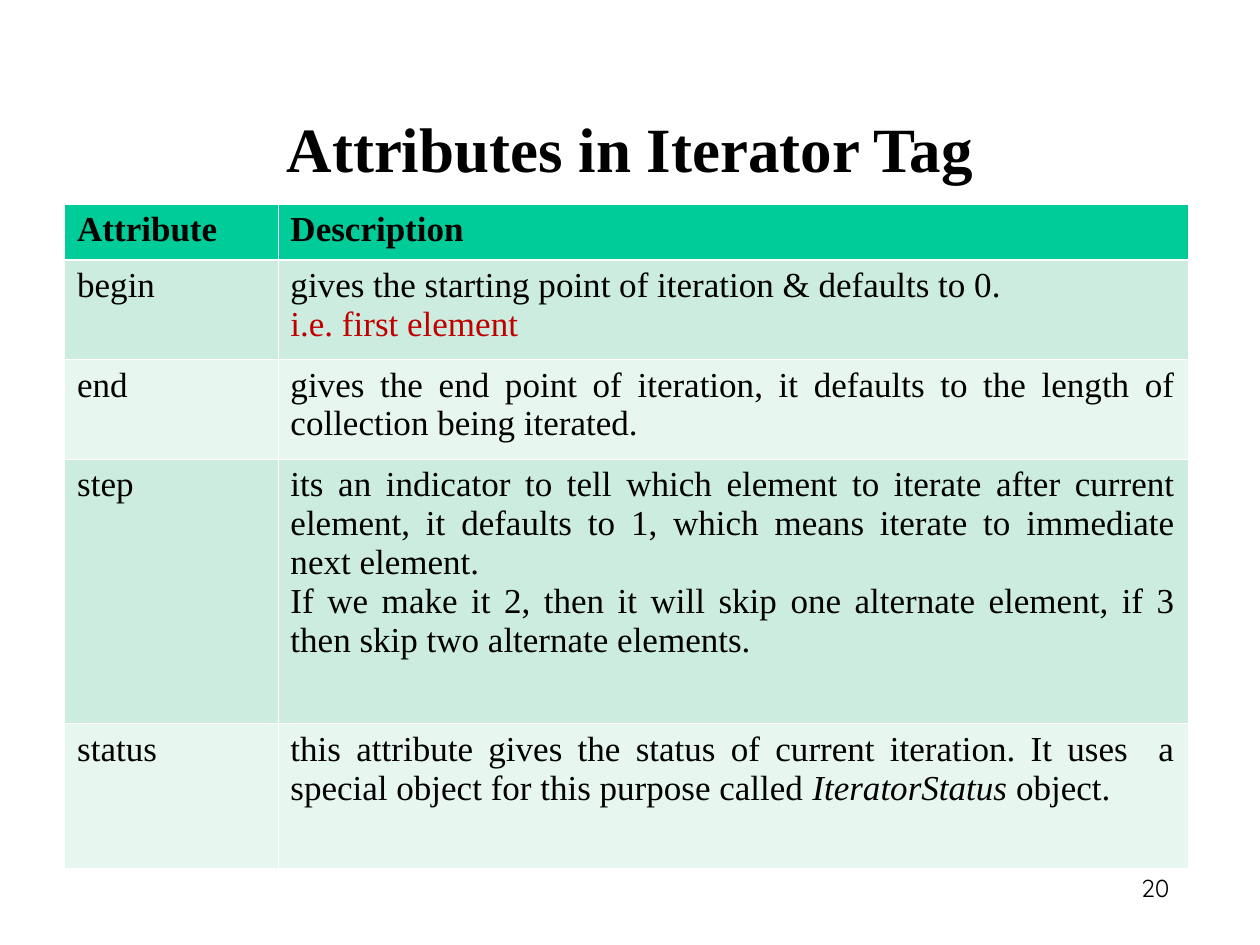
from dataclasses import dataclass

from lxml import etree
from pptx import Presentation
from pptx import util as u
from pptx.dml.color import RGBColor
from pptx.enum import text
from pptx.oxml import ns

COLORS = {
    "text": "000000",
    "accent": "C00000",
    "border": "FFFFFF",
    "header": "00CC99",
    "odd": "CBECDE",
    "even": "E7F6EF",
}
SERIF = "Times New Roman"
THIN, THICK = 0.45, 1.47


@dataclass(frozen=True)
class Span:
    text: str
    color: str = "text"
    italic: bool = False


@dataclass(frozen=True)
class Row:
    name: str
    height: float
    description: tuple[tuple[Span, ...], ...]


HEADER = Row("Attribute", 31.7, ((Span("Description"),),))
ROWS = [
    Row("begin", 57, (
        (Span("gives the starting point of iteration & defaults to 0."),),
        (Span("i.e. first element", color="accent"),),
    )),
    Row("end", 57, (
        (Span("gives the end point of iteration, it defaults to the length of "
              "collection being iterated."),),
    )),
    Row("step", 151.2, (
        (Span("its an indicator to tell which element to iterate after current element, "
              "it defaults to 1, which means iterate to immediate next element. "),),
        (Span("If we make it 2, then it will skip one alternate element, "
              "if 3 then skip two alternate elements."),),
    )),
    Row("status", 82.8, (
        (Span("this attribute gives the status of current iteration. It uses  a special "
              "object for this purpose called "),
         Span("IteratorStatus", italic=True),
         Span(" object.")),
    )),
]
COLUMN_WIDTHS = (121.9, 520)


def style_font(font, size: float, name: str = SERIF, color: str = "text",
               bold: bool = False, italic: bool = False) -> None:
    font.size = u.Pt(size)
    font.name = name
    font.bold = bold
    font.italic = italic
    font.color.rgb = RGBColor.from_string(COLORS[color])


def add_label(slide, left: float, top: float, width: float, height: float, wording: str,
              size: float, name: str, bold: bool = False, spacing: float = 1.0,
              anchor=text.MSO_ANCHOR.TOP) -> None:
    """Add a centred line of text."""
    shape = slide.shapes.add_textbox(u.Pt(left), u.Pt(top), u.Pt(width), u.Pt(height))
    frame = shape.text_frame
    frame.word_wrap = True
    frame.vertical_anchor = anchor
    frame.text = wording
    paragraph = frame.paragraphs[0]
    paragraph.alignment = text.PP_ALIGN.CENTER
    paragraph.line_spacing = spacing
    style_font(paragraph.runs[0].font, size, name, bold=bold)


def set_borders(cell, top: float, bottom: float) -> None:
    properties = cell._tc.get_or_add_tcPr()
    for side, width in (("L", THIN), ("R", THIN), ("T", top), ("B", bottom)):
        line = etree.SubElement(properties, ns.qn(f"a:ln{side}"), w=str(int(u.Pt(width))))
        fill = etree.SubElement(line, ns.qn("a:solidFill"))
        etree.SubElement(fill, ns.qn("a:srgbClr"), val=COLORS["border"])


def fill_cell(cell, paragraphs: tuple[tuple[Span, ...], ...], bold: bool, alignment) -> None:
    frame = cell.text_frame
    frame.text = "\n".join(spans[0].text for spans in paragraphs)
    for paragraph, spans in zip(frame.paragraphs, paragraphs):
        paragraph.alignment = alignment
        for span in spans[1:]:
            paragraph.add_run().text = span.text
        for run, span in zip(paragraph.runs, spans):
            style_font(run.font, 20, color=span.color, bold=bold, italic=span.italic)


def add_attribute_table(slide, left: float, top: float) -> None:
    rows = [HEADER, *ROWS]
    table = slide.shapes.add_table(
        len(rows), len(COLUMN_WIDTHS), u.Pt(left), u.Pt(top),
        u.Pt(sum(COLUMN_WIDTHS)), u.Pt(sum(row.height for row in rows))).table
    for column, width in zip(table.columns, COLUMN_WIDTHS):
        column.width = u.Pt(width)
    for index, row in enumerate(rows):
        table.rows[index].height = u.Pt(row.height)
        is_header = index == 0
        fill = "header" if is_header else "odd" if index % 2 else "even"
        contents = (((Span(row.name),),), row.description)
        for column, paragraphs in enumerate(contents):
            cell = table.cell(index, column)
            justified = column == 1 and not is_header
            alignment = text.PP_ALIGN.JUSTIFY if justified else text.PP_ALIGN.LEFT
            fill_cell(cell, paragraphs, is_header, alignment)
            # The rule below the header is thicker than the others
            set_borders(cell, top=THICK if index == 1 else THIN,
                        bottom=THICK if is_header else THIN)
            cell.fill.solid()
            cell.fill.fore_color.rgb = RGBColor.from_string(COLORS[fill])


def main() -> None:
    presentation = Presentation()
    presentation.slide_width, presentation.slide_height = u.Pt(720), u.Pt(540)
    slide = presentation.slides.add_slide(presentation.slide_layouts[6])

    # Page number
    add_label(slide, 640.8, 486.7, 38.9, 43.9, "20", 14, "Quicksand", spacing=1.5)
    # Title
    add_label(slide, 36, 56.9, 648, 54, "Attributes in Iterator Tag", 36, SERIF,
              bold=True, anchor=text.MSO_ANCHOR.MIDDLE)
    # Attributes and their descriptions
    add_attribute_table(slide, 36.9, 116.8)

    presentation.save("out.pptx")


if __name__ == "__main__":
    main()
